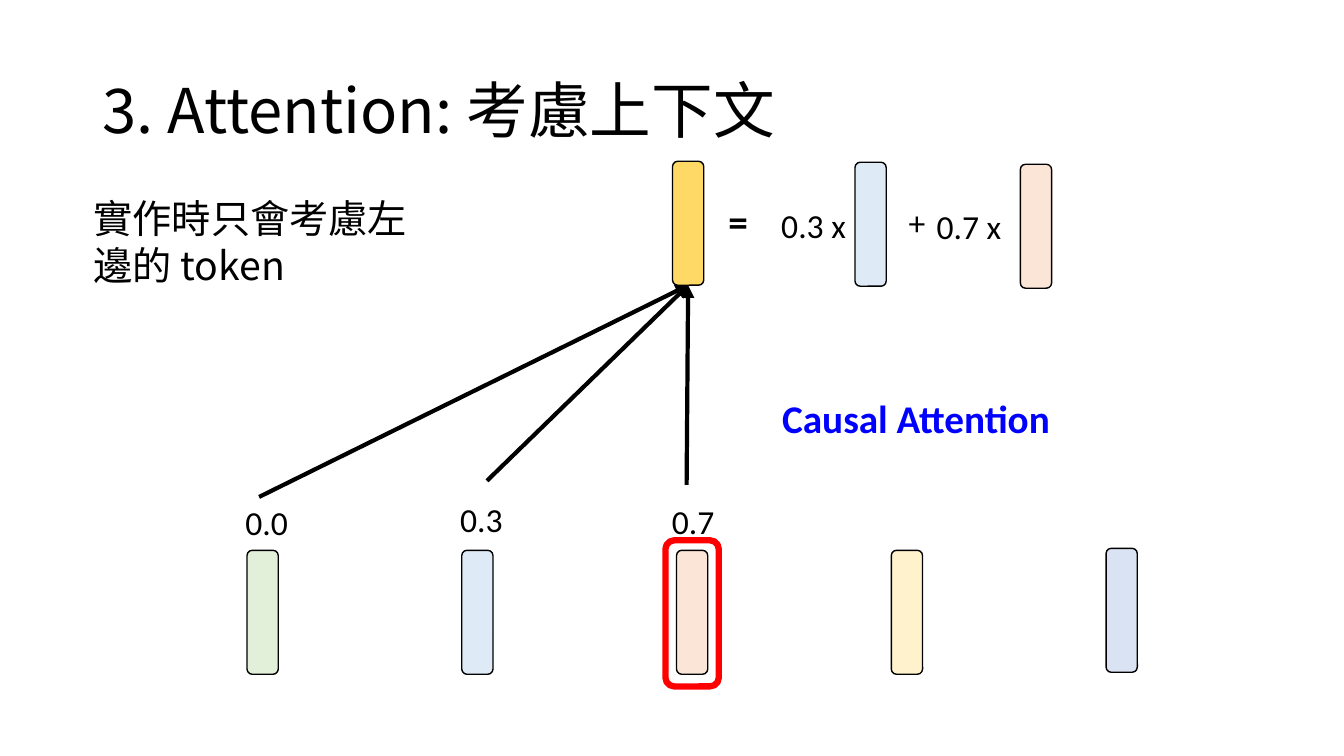
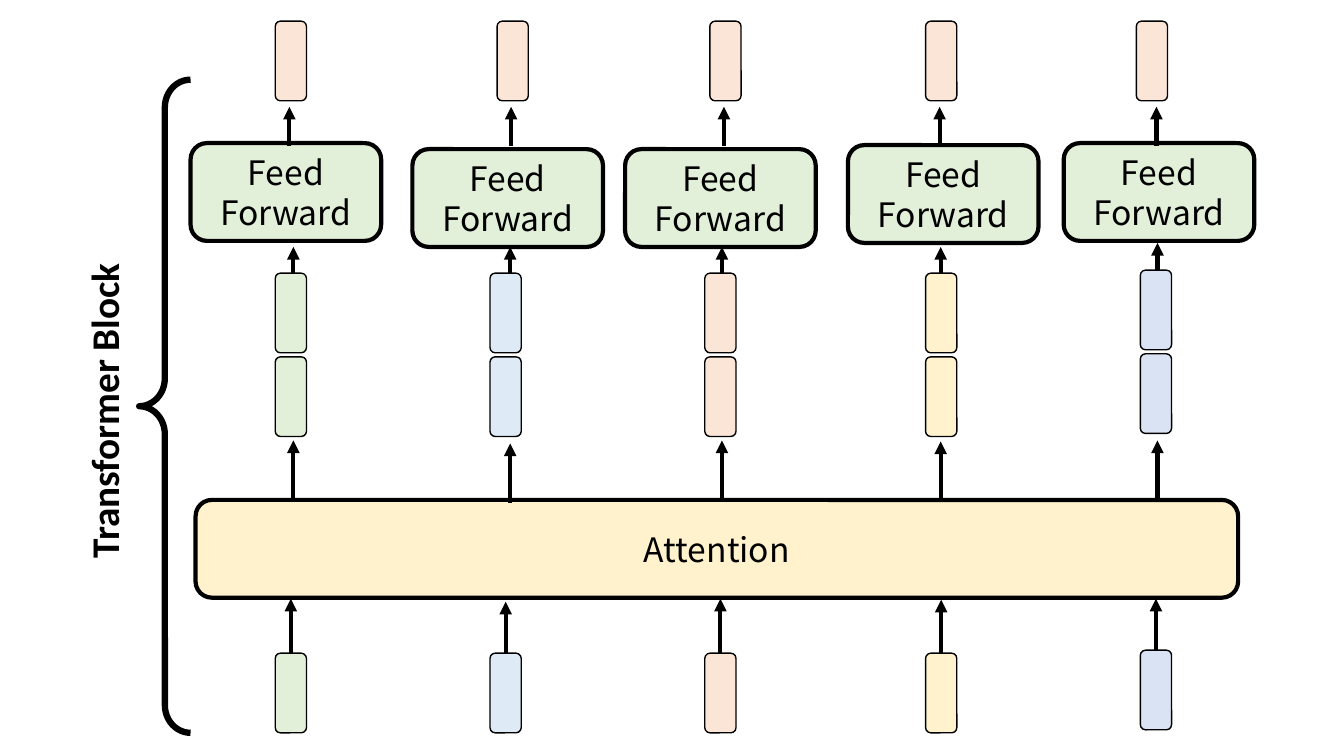
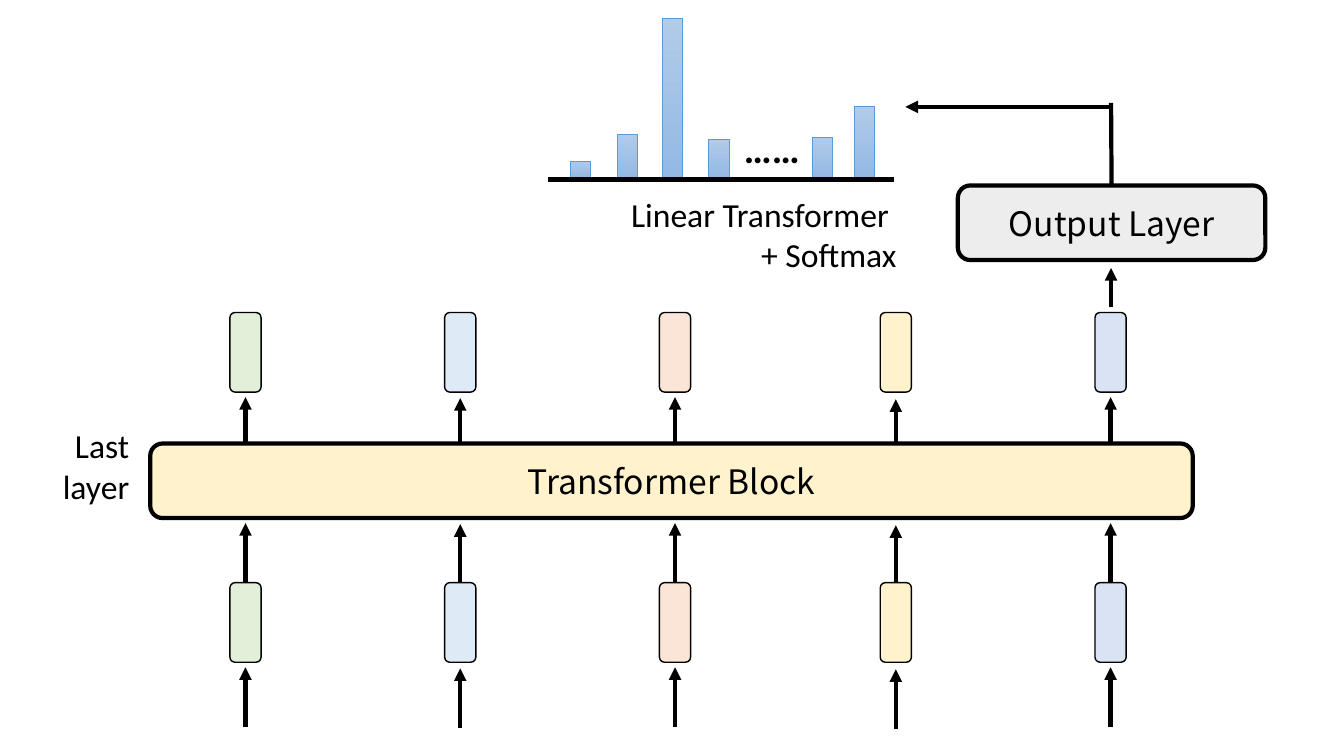
from lxml import etree
from pptx import Presentation
from pptx.dml.color import RGBColor
from pptx.enum.shapes import MSO_CONNECTOR, MSO_SHAPE
from pptx.enum.text import MSO_ANCHOR, PP_ALIGN
from pptx.oxml.ns import qn
from pptx.util import Inches, Pt

ROUND, RECT, BRACE = MSO_SHAPE.ROUNDED_RECTANGLE, MSO_SHAPE.RECTANGLE, MSO_SHAPE.LEFT_BRACE
STRAIGHT = MSO_CONNECTOR.STRAIGHT
LEFT, CENTER, RIGHT = PP_ALIGN.LEFT, PP_ALIGN.CENTER, PP_ALIGN.RIGHT
TOP, MIDDLE = MSO_ANCHOR.TOP, MSO_ANCHOR.MIDDLE

BLACK, RED, BLUE = "000000", "FF0000", "0000FF"
GREEN, SKY, PEACH, CREAM, LILAC = "E2F0D9", "DEEBF7", "FBE5D6", "FFF2CC", "DAE3F3"
GOLD, GRAY, EDGE = "FFD966", "EDEDED", "5B9BD5"
HUES = (GREEN, SKY, PEACH, CREAM, LILAC)
LATIN, CJK = "Calibri", "Noto Sans CJK SC"
PLAIN = {"name": LATIN, "size": Pt(24), "bold": False}
BOLD = {"name": LATIN, "size": Pt(28), "bold": True}
LABEL = {"name": CJK, "size": Pt(24), "bold": False}
NOTE = {"name": CJK, "size": Pt(28), "bold": False}
TITLE = {"name": CJK, "size": Pt(44), "bold": False}

WIDE = 0.31
TALL, SHORT = 1.23, 0.79
LANES = (2.73, 4.86, 6.99, 9.18, 11.31)


def color(code):
    """Turn a hex string into a colour."""
    return RGBColor.from_string(code)


def write(frame, text, look, align, hue=BLACK, anchor=TOP, space=None):
    """Fill a text frame, one paragraph per line of text."""
    frame.word_wrap = True
    frame.vertical_anchor = anchor
    for num, words in enumerate(text.split("\n")):
        para = frame.add_paragraph() if num else frame.paragraphs[0]
        para.alignment = align
        para.line_spacing = space
        run = para.add_run()
        run.text = words
        for key, value in look.items():
            setattr(run.font, key, value)
        run.font.color.rgb = color(hue)
        east = etree.SubElement(run.font._element, qn("a:ea"))
        east.set("typeface", look["name"])


def label(shapes, box, text, look=PLAIN, align=CENTER, **more):
    """Add a text box."""
    item = shapes.add_textbox(*map(Inches, box))
    write(item.text_frame, text, look, align, **more)
    return item


def form(shapes, kind, box, fill=None, line=BLACK, width=1):
    """Add a preset shape, hollow when no fill is given."""
    item = shapes.add_shape(kind, *map(Inches, box))
    item.shadow.inherit = False
    if fill:
        item.fill.solid()
        item.fill.fore_color.rgb = color(fill)
    else:
        item.fill.background()
    item.line.color.rgb = color(line)
    item.line.width = Pt(width)
    return item


def block(shapes, box, text, fill):
    """Add a heavy rounded box with a centred label."""
    item = form(shapes, ROUND, box, fill, width=3)
    write(item.text_frame, text, LABEL, CENTER, anchor=MIDDLE)
    return item


def link(shapes, start, end, head=True):
    """Add a straight line, with an arrowhead at its end if wanted."""
    item = shapes.add_connector(STRAIGHT, *map(Inches, (*start, *end)))
    item.line.color.rgb = color(BLACK)
    item.line.width = Pt(3)
    if head:
        tip = etree.SubElement(item.line._get_or_add_ln(), qn("a:tailEnd"))
        tip.set("type", "triangle")
    etree.SubElement(item._element.spPr, qn("a:effectLst"))
    return item


def rise(shapes, spots, low, high, shifts=(0,) * 5):
    """Add a row of upward arrows, each moved down by its shift."""
    return [link(shapes, (x, low + down), (x, high + down))
            for x, down in zip(spots, shifts)]


def row(shapes, lefts, top, tall=SHORT, hues=HUES, dip=0):
    """Add a row of token bars, the last one raised by dip."""
    tops = [top] * 4 + [top - dip]
    return [form(shapes, ROUND, (x, y, WIDE, tall), hue)
            for x, y, hue in zip(lefts, tops, hues)]


def mids(lefts):
    """Give the centres of bars from their left edges."""
    return [x + WIDE / 2 for x in lefts]


def root(lines, bars):
    """Join the start of each line to the top of its bar."""
    for line, bar in zip(lines, bars):
        line.begin_connect(bar, 0)


def causal(shapes):
    """Draw the slide on attention to the left context."""
    label(shapes, (0.92, 0.4, 11.5, 1.45), "3. Attention: 考慮上下文", TITLE, LEFT,
          anchor=MIDDLE, space=0.9)
    label(shapes, (0.83, 1.88, 3.44, 1.04), "實作時只會考慮左邊的 token", NOTE, LEFT)
    label(shapes, (7.66, 3.86, 5.04, 0.57), "Causal Attention", BOLD, LEFT, hue=BLUE)
    row(shapes, [2.45 + 2.13 * num for num in range(5)], 5.46, TALL, dip=0.02)
    form(shapes, ROUND, (6.6, 5.36, 0.53, 1.45), None, RED, 4.5)
    for x, y, text in ((2.14, 4.93, "0.0"), (4.27, 4.9, "0.3"), (6.37, 4.92, "0.7")):
        label(shapes, (x, y, 1.01, 0.5), text)
    total, _, _ = [form(shapes, ROUND, (x, y, WIDE, TALL), hue) for x, y, hue in
                   ((6.67, 1.6, GOLD), (8.48, 1.61, SKY), (10.12, 1.63, PEACH))]
    for start in ((6.81, 4.81), (4.83, 4.77), (2.57, 4.93)):
        link(shapes, start, (6.82, 2.83)).end_connect(total, 2)
    label(shapes, (6.66, 1.91, 1.32, 0.57), "=", BOLD)
    label(shapes, (7.65, 1.98, 0.99, 0.5), "0.3 x", align=LEFT)
    label(shapes, (8.6, 1.95, 0.99, 0.5), "+")
    label(shapes, (9.19, 1.99, 0.99, 0.5), "0.7 x", align=LEFT)


def inner(shapes):
    """Draw the slide on the parts of a transformer block."""
    shifts = (0, 0.03, 0, 0.01, 0)
    beams = (2.91, 5.06, 7.16, 9.33, 11.48)
    rise(shapes, beams, 3.04, 2.45, (0, 0, 0, 0, -0.04))
    block(shapes, (1.94, 4.96, 10.34, 0.97), "Attention", CREAM)
    lines = rise(shapes, mids(LANES), 6.48, 5.94, shifts)
    root(lines, row(shapes, LANES, 6.48, dip=0.03))
    rise(shapes, beams, 4.96, 4.37, shifts)
    for top in (3.54, 2.71):
        row(shapes, LANES, top, dip=0.03)
    for x, y in ((1.89, 1.42), (4.09, 1.48), (6.2, 1.48), (8.41, 1.44), (10.55, 1.42)):
        block(shapes, (x, y, 1.89, 0.97), "Feed\nForward", GREEN)
    rise(shapes, (2.87, 5.07, 7.18, 9.32, 11.47), 1.45, 1.06)
    row(shapes, (2.73, 4.93, 7.04, 9.18, 11.27), 0.21, hues=[PEACH] * 5)
    brace = form(shapes, BRACE, (1.38, 0.79, 0.51, 6.48), width=4.5)
    brace.adjustments[0] = 0.54
    label(shapes, (-1.32, 3.79, 4.7, 0.57), "Transformer Block", BOLD).rotation = 270


def odds(shapes):
    """Draw the grouped sketch of a probability distribution."""
    group = shapes.add_group_shape().shapes
    base = 1.76
    for x, tall in ((5.66, 0.16), (6.12, 0.43), (6.57, 1.58), (7.03, 0.38),
                    (8.06, 0.4), (8.47, 0.7)):
        bar = form(group, RECT, (x, base - tall, 0.2, tall), SKY, EDGE, 0.5)
        bar.fill.gradient()
        bar.fill.gradient_angle = 270
        for stop, hue in zip(bar.fill.gradient_stops, ("B1CBE9", "93B9E4")):
            stop.color.rgb = color(hue)
    link(group, (5.44, 1.78), (8.87, 1.78), head=False)
    label(group, (6.76, 1.18, 1.79, 0.57), "……", BOLD)


def final(shapes):
    """Draw the slide on the last layer and the output."""
    lanes = [x - 0.45 for x in LANES]
    spots = mids(lanes)
    shifts = (0, 0.01, 0, 0.02, 0)
    rise(shapes, spots, 4.53, 3.94, shifts)
    row(shapes, lanes, 3.1)
    block(shapes, (1.49, 4.4, 10.34, 0.74), "Transformer Block", CREAM)
    rise(shapes, spots, 7.21, 6.62, shifts)
    bars = row(shapes, lanes, 5.78)
    root(rise(shapes, spots, 5.78, 5.19, shifts), bars)
    label(shapes, (0.38, 4.17, 1, 0.91), "Last\nlayer", align=RIGHT)
    rise(shapes, [11.02], 3.05, 2.66)
    output = block(shapes, (9.5, 1.84, 3.05, 0.74), "Output Layer", GRAY)
    odds(shapes)
    label(shapes, (5.28, 1.87, 3.71, 0.91), "Linear Transformer \n+ Softmax", align=RIGHT)
    link(shapes, (11.02, 1.84), (11.02, 1.02), head=False).begin_connect(output, 0)
    link(shapes, (11.02, 1.06), (8.98, 1.06))


def main():
    """Build and save the deck."""
    deck = Presentation()
    deck.slide_width, deck.slide_height = Inches(13.33), Inches(7.5)
    for draw in (causal, inner, final):
        draw(deck.slides.add_slide(deck.slide_layouts[6]).shapes)
    deck.save("out.pptx")


if __name__ == "__main__":
    main()
